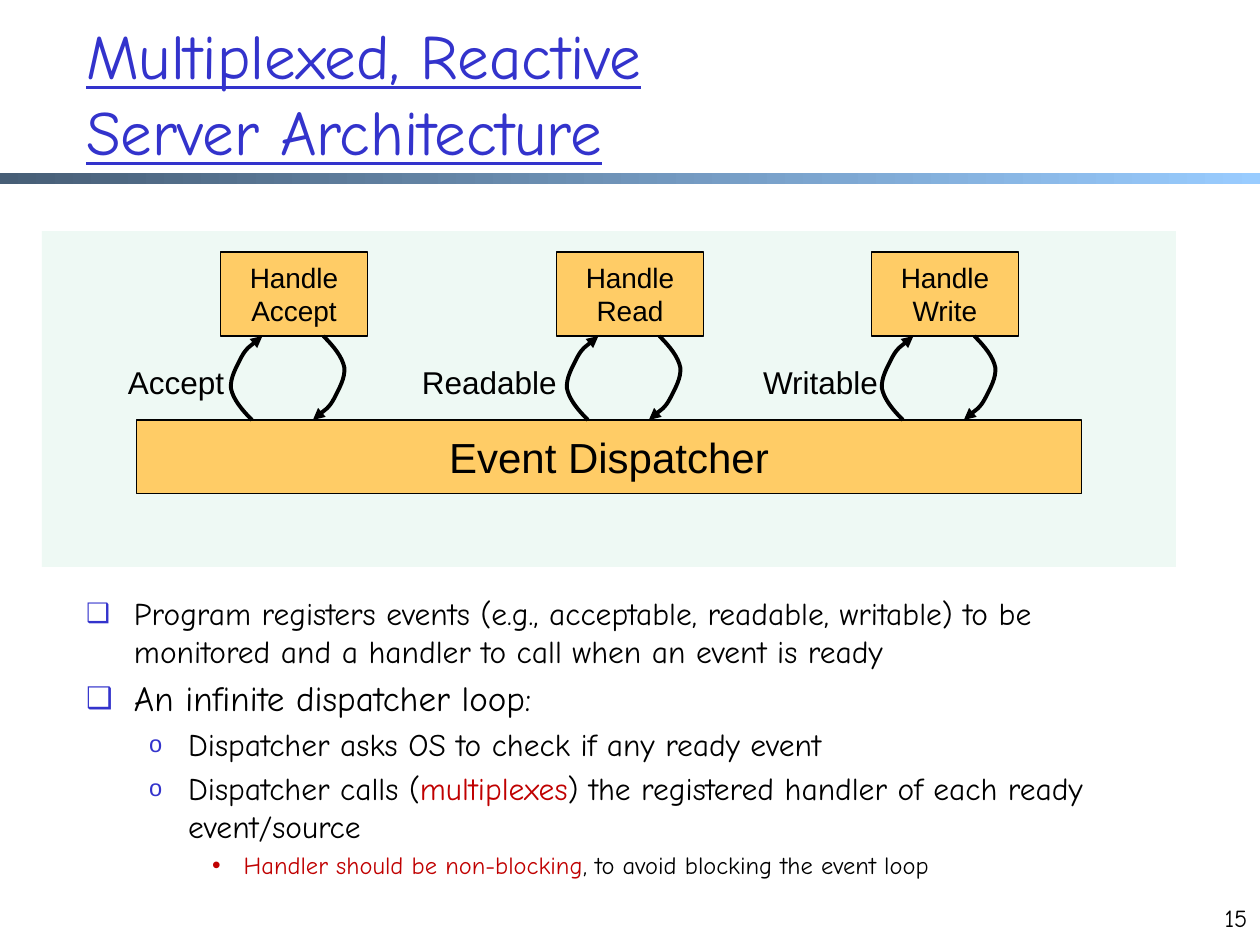
import pptx
import pptx.util
import pptx.dml.color
import pptx.enum.shapes
import pptx.enum.text
import pptx.oxml.ns
import lxml.etree

COLORS = {
    "title": "3333CC", "text": "000000", "accent": "C00000",
    "box": "FFCC66", "panel": "EEF9F4",
    "bar_start": "475E76", "bar_end": "99CCFF",
}
COLS, ROWS = 120, 90
HAND, SANS = "Comic Neue", "Arial"
ALIGN = pptx.enum.text.PP_ALIGN
ANCHOR = pptx.enum.text.MSO_ANCHOR

BOX_TOP, BOX_W, BOX_H = 24, 14, 8
LOOP_TOP, LOOP_H, LOOP_W = 32, 8, 12.8
HANDLERS = [
    (21, "Accept", "Accept", 11, 11.6),
    (53, "Read", "Readable", 39, 15.4),
    (83, "Write", "Writable", 71.5, 13.4),
]
UP_CURVE = [(3, 8), (2, 7), (1.2, 6), (1, 5), (0.9, 4), (1.5, 3),
            (2, 2), (2.5, 1.1), (3.7, 0.3), (4, 0)]
BULLETS = [
    ("❑", 85, "title", 0.38, 0.38),
    ("o", 75, "title", 0.81, 0.31),
    ("•", 100, "accent", 1.25, 0.25),
]
BODY = [
    (0, 18, [("Program registers events (e.g., acceptable, readable, writable) "
              "to be monitored and a handler to call when an event is ready", "text")]),
    (0, 20, [("An infinite dispatcher loop:", "text")]),
    (1, 18, [("Dispatcher asks OS to check if any ready event", "text")]),
    (1, 18, [("Dispatcher calls (", "text"), ("multiplexes", "accent"),
             (") the registered handler of each ready event/source", "text")]),
    (2, 14, [("Handler should be non-blocking", "accent"),
             (", to avoid blocking the event loop", "text")]),
]


def rgb(name):
    return pptx.dml.color.RGBColor.from_string(COLORS[name])


def grid(*cells):
    return [pptx.util.Inches(c / 12) for c in cells]


def place(s, *cells):
    s.left, s.top, s.width, s.height = grid(*cells)


def style(font, size, name, color):
    font.size = pptx.util.Pt(size)
    font.name = name
    font.color.rgb = rgb(color)


def write(tf, text, size, name, color="text", align=ALIGN.LEFT):
    tf.text = text
    p = tf.paragraphs[0]
    p.alignment = align
    for r in p.runs:
        style(r.font, size, name, color)


def add_rect(s, cells, fill):
    sp = s.shapes.add_shape(pptx.enum.shapes.MSO_SHAPE.RECTANGLE, *grid(*cells))
    sp.shadow.inherit = False
    sp.line.fill.background()
    sp.fill.solid()
    sp.fill.fore_color.rgb = rgb(fill)
    return sp


def add_box(s, cells, text, size):
    sp = add_rect(s, cells, "box")
    sp.line.color.rgb = rgb("text")
    sp.line.width = pptx.util.Pt(0.75)
    tf = sp.text_frame
    tf.word_wrap = False
    tf.vertical_anchor = ANCHOR.MIDDLE
    write(tf, text, size, SANS, align=ALIGN.CENTER)


def add_label(s, cells, text, size, name, align=ALIGN.LEFT, wrap=False):
    tf = s.shapes.add_textbox(*grid(*cells)).text_frame
    tf.word_wrap = wrap
    write(tf, text, size, name, align=align)


def add_bar(s):
    sp = add_rect(s, (0, 16.5, COLS, 1), "bar_start")
    sp.fill.gradient()
    sp.fill.gradient_angle = 0
    for stop, color in zip(sp.fill.gradient_stops, ("bar_start", "bar_end")):
        stop.color.rgb = rgb(color)


def add_curve(s, points):
    start, *rest = [grid(*pt) for pt in points]
    builder = s.shapes.build_freeform(*start)
    builder.add_line_segments(rest, close=False)
    sp = builder.convert_to_shape()
    sp.shadow.inherit = False
    sp.fill.background()
    sp.line.color.rgb = rgb("text")
    sp.line.width = pptx.util.Pt(2.25)
    qn = pptx.oxml.ns.qn
    geom = sp._element.xpath(".//a:path")[0]
    segments = geom.findall(qn("a:lnTo"))
    for i in range(0, len(segments), 3):
        bezier = lxml.etree.SubElement(geom, qn("a:cubicBezTo"))
        for seg in segments[i:i + 3]:
            bezier.append(seg[0])
            geom.remove(seg)
    ln = sp.line._get_or_add_ln()
    lxml.etree.SubElement(ln, qn("a:tailEnd"), type="triangle")


def add_handler(s, left, name, event, label_left, label_width):
    add_box(s, (left, BOX_TOP, BOX_W, BOX_H), f"Handle\v{name}", 16)
    add_curve(s, [(left + x, LOOP_TOP + y) for x, y in UP_CURVE])
    add_curve(s, [(left + LOOP_W - x, LOOP_TOP + LOOP_H - y) for x, y in UP_CURVE])
    add_label(s, (label_left, 34, label_width, 4.8), event, 18, SANS)


def set_bullet(p, char, percent, color, margin, hang):
    qn = pptx.oxml.ns.qn
    pPr = p._p.get_or_add_pPr()
    pPr.set("marL", str(pptx.util.Inches(margin)))
    pPr.set("indent", str(-pptx.util.Inches(hang)))
    clr = lxml.etree.SubElement(pPr, qn("a:buClr"))
    lxml.etree.SubElement(clr, qn("a:srgbClr"), val=COLORS[color])
    lxml.etree.SubElement(pPr, qn("a:buSzPct"), val=str(percent * 1000))
    lxml.etree.SubElement(pPr, qn("a:buFont"), typeface=SANS)
    lxml.etree.SubElement(pPr, qn("a:buChar"), char=char)


def fill_title(s):
    title = s.shapes.title
    place(title, 7, 1.3, 102, 15)
    title.text_frame.vertical_anchor = ANCHOR.MIDDLE
    write(title.text_frame, "Multiplexed, Reactive\vServer Architecture", 36, HAND, "title")
    for r in title.text_frame.paragraphs[0].runs:
        r.font.underline = True


def fill_body(s):
    body = s.placeholders[1]
    place(body, 7, 56, 102, 31)
    tf = body.text_frame
    for i, (level, size, parts) in enumerate(BODY):
        p = tf.add_paragraph() if i else tf.paragraphs[0]
        p.level = level
        p.space_before = pptx.util.Pt(0.2 * size if i else 0)
        set_bullet(p, *BULLETS[level])
        for text, color in parts:
            r = p.add_run()
            r.text = text
            style(r.font, size, HAND, color)


def main():
    prs = pptx.Presentation()
    prs.slide_width, prs.slide_height = grid(COLS, ROWS)
    s = prs.slides.add_slide(prs.slide_layouts[1])
    add_bar(s)
    fill_title(s)
    fill_body(s)
    add_label(s, (114, 85.4, 6, 6), "15", 14, HAND, ALIGN.RIGHT, wrap=True)
    add_rect(s, (4, 22, 108, 32), "panel")
    add_box(s, (13, 40, 90, 7), "Event Dispatcher", 24)
    for handler in HANDLERS:
        add_handler(s, *handler)
    prs.save("out.pptx")


if __name__ == "__main__":
    main()
